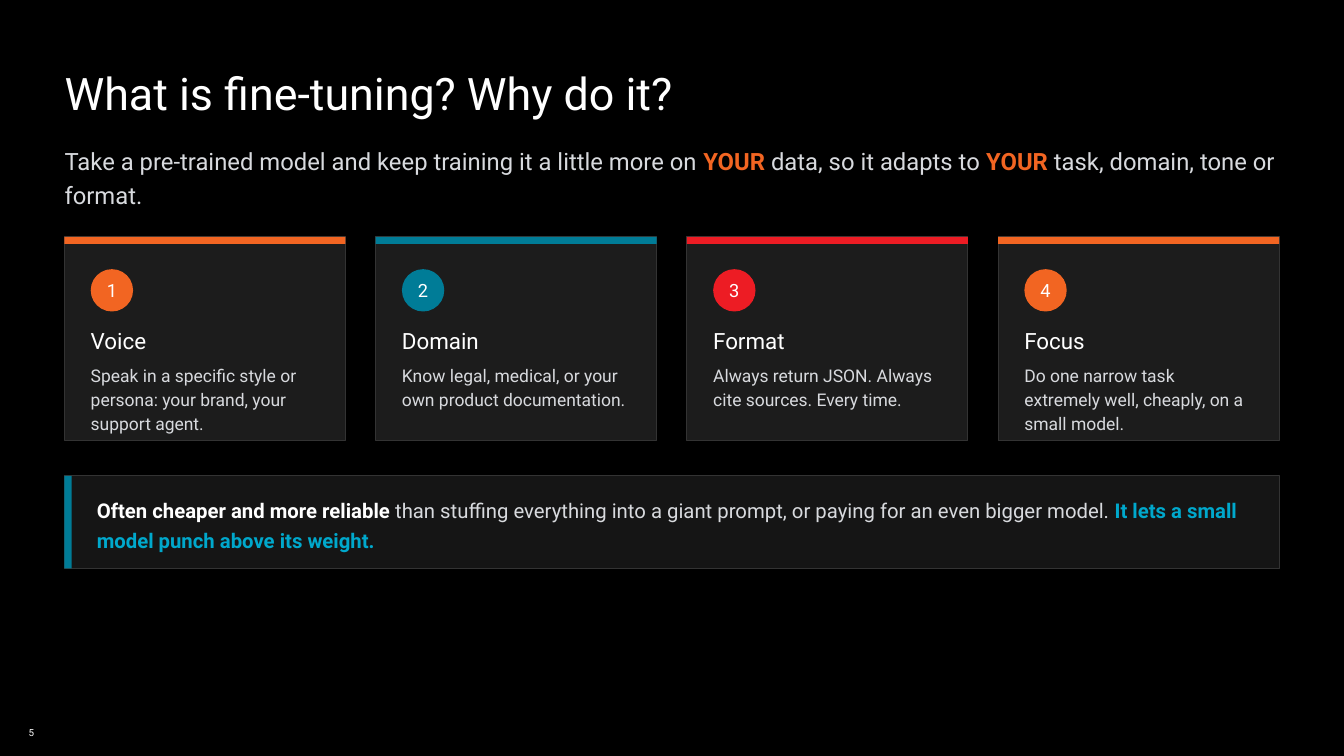
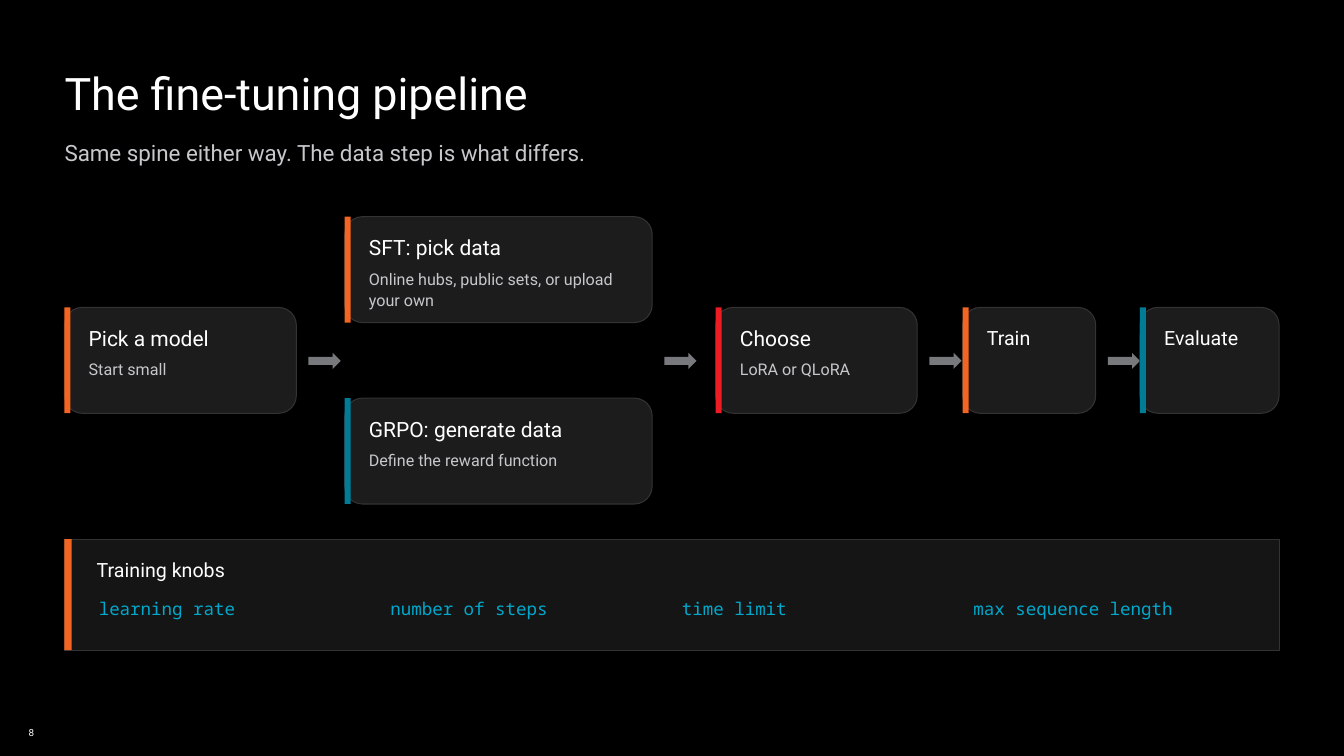
"""Build two dark slides that explain fine-tuning and its pipeline."""
from dataclasses import dataclass
from typing import NamedTuple

from pptx import Presentation
from pptx.dml.color import RGBColor
from pptx.enum.shapes import MSO_SHAPE
from pptx.enum.text import MSO_ANCHOR, MSO_AUTO_SIZE, PP_ALIGN
from pptx.util import Pt

RECT, ROUNDED = MSO_SHAPE.RECTANGLE, MSO_SHAPE.ROUNDED_RECTANGLE
OVAL, ARROW = MSO_SHAPE.OVAL, MSO_SHAPE.RIGHT_ARROW
LEFT, CENTER, RIGHT = PP_ALIGN.LEFT, PP_ALIGN.CENTER, PP_ALIGN.RIGHT
TOP, MIDDLE = MSO_ANCHOR.TOP, MSO_ANCHOR.MIDDLE
NO_FIT = MSO_AUTO_SIZE.NONE
TITLE_ONLY = 5


class Style(NamedTuple):
    """Type size, colour, line spacing and font of a text."""
    size: float
    color: str
    spacing: float = 1.0
    font: str = "Roboto"


@dataclass(frozen=True)
class Theme:
    """Colours and type styles shared by the slides."""
    background: str = "000000"
    card: str = "1C1C1C"
    panel: str = "151515"
    outline: str = "333333"
    arrow: str = "77797C"
    white: str = "FFFFFF"
    orange: str = "F26522"
    teal: str = "007C97"
    red: str = "ED1C24"
    cyan: str = "00A8CC"
    title: Style = Style(32, "FFFFFF")
    lead: Style = Style(17, "D8DADE", 1.2)
    subtitle: Style = Style(16, "C6C8CC")
    badge: Style = Style(13, "FFFFFF")
    card_title: Style = Style(16, "FFFFFF")
    card_body: Style = Style(12.5, "D8DADE", 1.15)
    callout: Style = Style(14.5, "D8DADE", 1.25)
    stage_title: Style = Style(15, "FFFFFF")
    stage_detail: Style = Style(11.5, "C6C8CC", 1.1)
    small_title: Style = Style(14, "FFFFFF")
    knob: Style = Style(12.5, "00A8CC", 1.0, "Noto Sans Mono")
    page: Style = Style(7, "FFFFFF")


THEME = Theme()


class Box(NamedTuple):
    """A rectangle in points."""
    left: float
    top: float
    width: float
    height: float

    def inset(self, dx, dy, width, height):
        """Return a box offset from this one's top left corner."""
        return Box(self.left + dx, self.top + dy, width, height)

    def columns(self, count, gap):
        """Split the box into equal columns."""
        width = (self.width - gap * (count - 1)) / count
        return [self.inset(i * (width + gap), 0, width, self.height) for i in range(count)]

    def lengths(self):
        """Return the four values as lengths."""
        return [Pt(value) for value in self]


MARGIN, CONTENT_WIDTH = 46.08, 867.6
STAGE_HEIGHT, STAGE_TOP, BRANCH_SHIFT = 75.6, 219.6, 64.8


def write(frame, runs, style, align=LEFT, anchor=TOP, wrap=True):
    """Fill a text frame; a run is a string or (text, colour) for bold emphasis."""
    frame.margin_left = frame.margin_right = frame.margin_top = frame.margin_bottom = 0
    frame.auto_size = NO_FIT
    frame.word_wrap = wrap
    frame.vertical_anchor = anchor
    paragraph = frame.paragraphs[0]
    paragraph.alignment = align
    paragraph.line_spacing = style.spacing
    for item in runs:
        text, color = (item, style.color) if isinstance(item, str) else item
        run = paragraph.add_run()
        run.text = text
        run.font.name = style.font
        run.font.size = Pt(style.size)
        run.font.bold = not isinstance(item, str)
        run.font.color.rgb = RGBColor.from_string(color)


def add_text(slide, box, runs, style, **layout):
    """Add a text box."""
    write(slide.shapes.add_textbox(*box.lengths()).text_frame, runs, style, **layout)


def add_shape(slide, kind, box, fill, outline=None):
    """Add a flat shape with an optional thin outline."""
    shape = slide.shapes.add_shape(kind, *box.lengths())
    shape.shadow.inherit = False
    shape.fill.solid()
    shape.fill.fore_color.rgb = RGBColor.from_string(fill)
    if outline:
        shape.line.color.rgb = RGBColor.from_string(outline)
        shape.line.width = Pt(0.75)
    else:
        shape.line.fill.background()
    return shape


def add_slide(deck, title, page):
    """Add a slide with its title and page number."""
    slide = deck.slides.add_slide(deck.slide_layouts[TITLE_ONLY])
    heading = slide.shapes.title
    heading.left, heading.top, heading.width, heading.height = Box(
        MARGIN, 46.8, CONTENT_WIDTH, 33.84).lengths()
    write(heading.text_frame, [title], THEME.title)
    add_text(slide, Box(12, 516, 12.48, 15.12), [page], THEME.page, align=RIGHT, anchor=MIDDLE)
    return slide


def add_card(slide, box, number, accent, title, body):
    """Add a numbered card with a coloured top edge."""
    add_shape(slide, RECT, box, THEME.card, THEME.outline)
    add_shape(slide, RECT, box.inset(0, 0, box.width, 5.04), accent)
    badge = add_shape(slide, OVAL, box.inset(18.72, 23.04, 30.24, 30.24), accent)
    write(badge.text_frame, [str(number)], THEME.badge, align=CENTER, anchor=MIDDLE)
    inner = box.width - 37.44
    add_text(slide, box.inset(18.72, 64.8, inner, 21.6), [title], THEME.card_title)
    add_text(slide, box.inset(18.72, 89.28, inner, 43.2), [body], THEME.card_body)


def add_panel(slide, box, accent):
    """Add a wide panel with a coloured left edge."""
    add_shape(slide, RECT, box, THEME.panel, THEME.outline)
    add_shape(slide, RECT, box.inset(0, 0, 5.04, box.height), accent)


def add_callout(slide, box, runs):
    """Add a panel holding one statement."""
    add_panel(slide, box, THEME.teal)
    add_text(slide, box.inset(23.04, 11.52, box.width - 50.4, 44.64), runs, THEME.callout)


def add_knobs(slide, box, title, knobs):
    """Add a panel with a heading and a row of settings."""
    add_panel(slide, box, THEME.orange)
    add_text(slide, box.inset(23.04, 12.96, 216, 20.16), [title], THEME.small_title)
    row = box.inset(24.48, 41.76, box.width - 49, 20.16)
    for cell, knob in zip(row.columns(len(knobs), 14.4), knobs):
        add_text(slide, cell, [knob], THEME.knob, wrap=False)


def add_stage(slide, box, accent, title, detail):
    """Add a pipeline stage with a title and an optional detail."""
    add_shape(slide, ROUNDED, box, THEME.card, THEME.outline)
    add_shape(slide, RECT, box.inset(0, 0, 4.32, box.height), accent)
    inner = box.width - 32.4
    style = THEME.stage_title if detail else THEME.small_title
    add_text(slide, box.inset(17.28, 12.96, inner, 21.6), [title], style, wrap=bool(detail))
    if detail:
        add_text(slide, box.inset(17.28, 36, inner, 33.12), [detail], THEME.stage_detail)


def add_pipeline(slide, box, steps):
    """Add the steps in order, with an arrow after each but the last."""
    for index, (dx, width, stages) in enumerate(steps):
        for dy, *stage in stages:
            add_stage(slide, box.inset(dx, dy, width, box.height), *stage)
        if index < len(steps) - 1:
            add_shape(slide, ARROW, box.inset(dx + width + 8.64, 32.4, 23.04, 11.52), THEME.arrow)


def build_reasons(deck):
    """Build the slide on what fine-tuning is for."""
    slide = add_slide(deck, "What is fine-tuning? Why do it?", "5")
    your = ("YOUR", THEME.orange)
    add_text(slide, Box(MARGIN, 100.8, CONTENT_WIDTH, 50.4), [
        "Take a pre-trained model and keep training it a little more on ", your,
        " data, so it adapts to ", your, " task, domain, tone or format."], THEME.lead)
    reasons = [
        (THEME.orange, "Voice",
         "Speak in a specific style or persona: your brand, your support agent."),
        (THEME.teal, "Domain", "Know legal, medical, or your own product documentation."),
        (THEME.red, "Format", "Always return JSON. Always cite sources. Every time."),
        (THEME.orange, "Focus",
         "Do one narrow task extremely well, cheaply, on a small model."),
    ]
    cells = Box(MARGIN, 169.2, CONTENT_WIDTH, 145.44).columns(len(reasons), 21.6)
    for number, (cell, reason) in enumerate(zip(cells, reasons), 1):
        add_card(slide, cell, number, *reason)
    add_callout(slide, Box(MARGIN, 339.84, CONTENT_WIDTH, 66.24), [
        ("Often cheaper and more reliable", THEME.white),
        " than stuffing everything into a giant prompt, or paying for an even bigger model. ",
        ("It lets a small model punch above its weight.", THEME.cyan)])


def build_pipeline(deck):
    """Build the slide on the pipeline and its settings."""
    slide = add_slide(deck, "The fine-tuning pipeline", "8")
    add_text(slide, Box(MARGIN, 99.36, CONTENT_WIDTH, 28.8),
             ["Same spine either way. The data step is what differs."], THEME.subtitle)
    add_pipeline(slide, Box(MARGIN, STAGE_TOP, CONTENT_WIDTH, STAGE_HEIGHT), [
        (0, 165.6, [(0, THEME.orange, "Pick a model", "Start small")]),
        (200.16, 219.6, [
            (-BRANCH_SHIFT, THEME.orange, "SFT: pick data",
             "Online hubs, public sets, or upload your own"),
            (BRANCH_SHIFT, THEME.teal, "GRPO: generate data", "Define the reward function")]),
        (465.12, 144, [(0, THEME.red, "Choose", "LoRA or QLoRA")]),
        (641.52, 95.04, [(0, THEME.orange, "Train", "")]),
        (768.24, 99.36, [(0, THEME.teal, "Evaluate", "")]),
    ])
    add_knobs(slide, Box(MARGIN, 385.2, CONTENT_WIDTH, 79.2), "Training knobs",
              ["learning rate", "number of steps", "time limit", "max sequence length"])


def main():
    """Build and save the deck."""
    deck = Presentation()
    deck.slide_width, deck.slide_height = Pt(960), Pt(540)
    backdrop = deck.slide_master.background.fill
    backdrop.solid()
    backdrop.fore_color.rgb = RGBColor.from_string(THEME.background)
    build_reasons(deck)
    build_pipeline(deck)
    deck.save("out.pptx")


if __name__ == "__main__":
    main()
